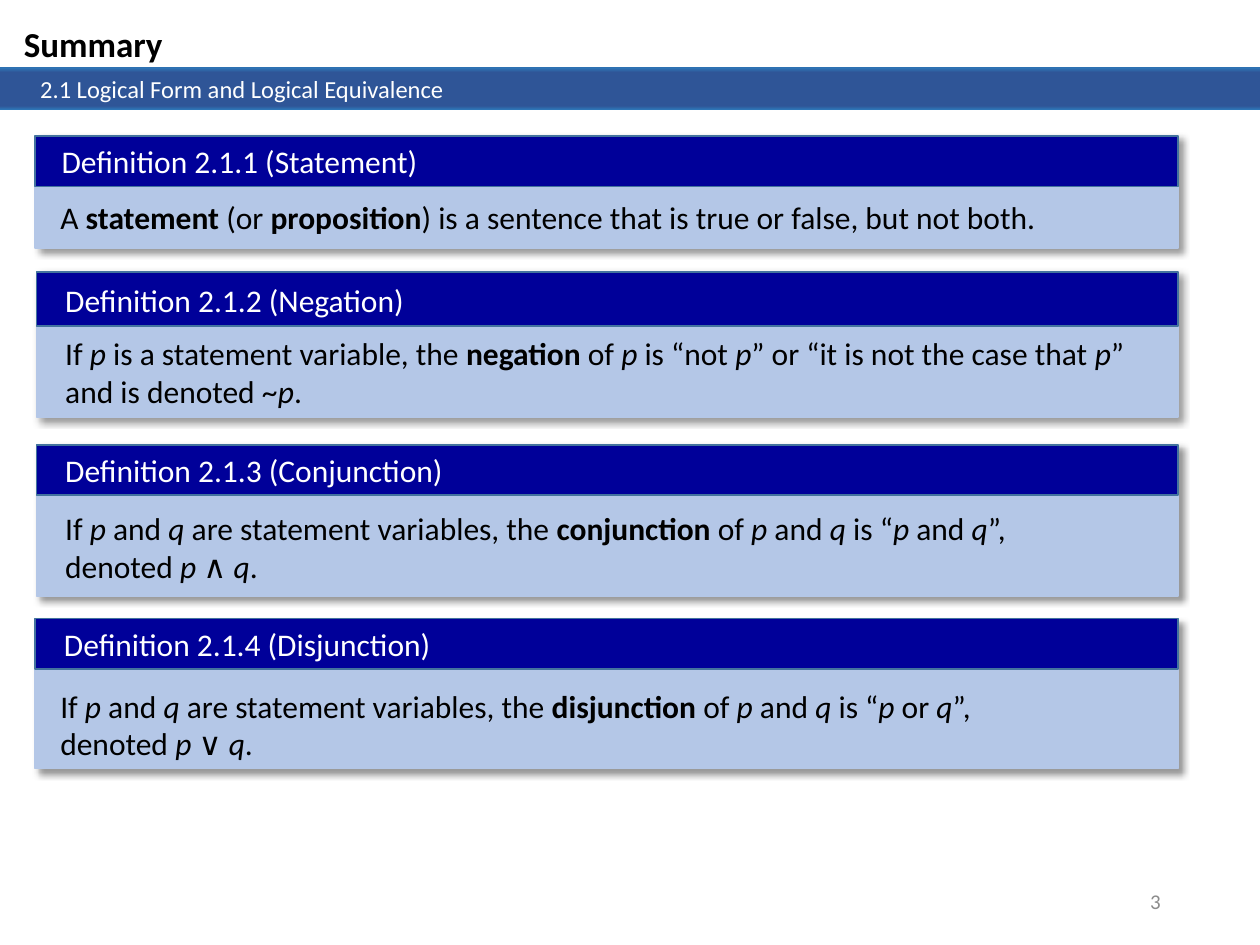
from lxml import etree
from pptx import Presentation
from pptx.dml.color import RGBColor
from pptx.enum.shapes import MSO_SHAPE
from pptx.enum.text import MSO_ANCHOR, PP_ALIGN
from pptx.oxml.ns import qn
from pptx.util import Pt

RECT = MSO_SHAPE.RECTANGLE
TOP, MIDDLE = MSO_ANCHOR.TOP, MSO_ANCHOR.MIDDLE
LEFT, RIGHT = PP_ALIGN.LEFT, PP_ALIGN.RIGHT

FONT = "Calibri"
WHITE, BLACK, GREY = "FFFFFF", "000000", "8C8C8C"
NAVY, STEEL, PALE = "000099", "43739E", "B4C7E7"
BAND_STOPS = [(0, "2E75B6"), (11, "2F5597"), (91, "2F5597"), (100, "2E75B6")]
BANDS = [(0, 38.2, 720, 21.6), (0, 38.9, 720, 23.8)]
CARD_RIGHT = 673.2

# *bold* and _italic_
DEFINITIONS = [
    {"title": "Definition 2.1.1 (Statement)",
     "body": "A *statement* (or *proposition*) is a sentence that is true or false, but not both.",
     "card": (20.2, 77.8, 64.1), "head": 28.8,
     "title_at": (28.1, 77.8), "body_at": (27.4, 109.4, 588, 28.8)},
    {"title": "Definition 2.1.2 (Negation)",
     "body": "If _p_ is a statement variable, the *negation* of _p_ is “not _p_” or "
             "“it is not the case that _p_” and is denoted ~_p_.",
     "card": (20.9, 155.5, 82.8), "head": 31,
     "title_at": (30.2, 157), "body_at": (30.2, 187.2, 625, 51.1)},
    {"title": "Definition 2.1.3 (Conjunction)",
     "body": "If _p_ and _q_ are statement variables, the *conjunction* of _p_ and _q_ is "
             "“_p_ and _q_”, denoted _p _∧ _q_.",
     "card": (20.9, 254.2, 86.4), "head": 28.8,
     "title_at": (30.2, 254.2), "body_at": (30.2, 287.3, 585, 51.1)},
    {"title": "Definition 2.1.4 (Disjunction)",
     "body": "If _p_ and _q_ are statement variables, the *disjunction* of _p_ and _q_ is "
             "“_p_ or _q_”, denoted _p _∨ _q_.",
     "card": (20.2, 353.5, 85.7), "head": 28.8,
     "title_at": (29.5, 353.5), "body_at": (27.4, 388.8, 545, 51.1)},
]


def rgb(color):
    return RGBColor.from_string(color)


def add_color(parent, color):
    return etree.SubElement(parent, qn("a:srgbClr"), val=color)


def add_rect(shapes, box, fill=None, line=None):
    sp = shapes.add_shape(RECT, *map(Pt, box))
    sp.shadow.inherit = False
    if fill:
        sp.fill.solid()
        sp.fill.fore_color.rgb = rgb(fill)
    if line:
        sp.line.color.rgb = rgb(line)
        sp.line.width = Pt(1)
    else:
        sp.line.fill.background()
    return sp


def add_band(shapes, box):
    sp = add_rect(shapes, box)
    sp.fill.gradient()
    sp.fill.gradient_angle = 270
    stops = sp._element.spPr.find(qn("a:gradFill")).find(qn("a:gsLst"))
    for stop in list(stops):
        stops.remove(stop)
    for pos, color in BAND_STOPS:
        add_color(etree.SubElement(stops, qn("a:gs"), pos=str(pos * 1000)), color)
    return sp


def add_shadow(sp):
    effects = sp._element.spPr.find(qn("a:effectLst"))
    shadow = etree.SubElement(effects, qn("a:outerShdw"), blurRad=str(Pt(4)),
                              dist=str(Pt(3)), dir="2700000", algn="tl", rotWithShape="0")
    etree.SubElement(add_color(shadow, BLACK), qn("a:alpha"), val="40000")


def set_text(sp, text, size, color, bold=False, align=LEFT, anchor=TOP):
    tf = sp.text_frame
    tf.word_wrap = True
    tf.vertical_anchor = anchor
    p = tf.paragraphs[0]
    p.alignment = align
    for i, part in enumerate(text.split("*")):
        for j, piece in enumerate(part.split("_")):
            if not piece:
                continue
            r = p.add_run()
            r.text = piece
            style = {"name": FONT, "size": Pt(size),
                     "bold": bold or i % 2 == 1, "italic": j % 2 == 1}
            for key, value in style.items():
                setattr(r.font, key, value)
            r.font.color.rgb = rgb(color)


def add_text(shapes, box, *args, **kwargs):
    set_text(shapes.add_textbox(*map(Pt, box)), *args, **kwargs)


def add_definition(slide, d):
    shapes = slide.shapes.add_group_shape().shapes
    left, top, height = d["card"]
    width = CARD_RIGHT - left
    add_shadow(add_rect(shapes, (left, top, width, height), PALE, PALE))
    add_rect(shapes, (left, top, width, d["head"]), NAVY, STEEL)
    add_text(shapes, (*d["title_at"], 333.4, 28.8), d["title"], 18, WHITE)
    add_text(shapes, d["body_at"], d["body"], 18, BLACK)


def main():
    prs = Presentation()
    prs.slide_width, prs.slide_height = Pt(720), Pt(540)
    s = prs.slides.add_slide(prs.slide_layouts[6])

    add_text(s.shapes, (508.3, 500.4, 162, 28.8), "3", 12, GREY, align=RIGHT, anchor=MIDDLE)
    for box in BANDS:
        band = add_band(s.shapes, box)
    set_text(band, "2.1 Logical Form and Logical Equivalence", 14, WHITE)
    band.text_frame.margin_left = Pt(23)

    for d in DEFINITIONS:
        add_definition(s, d)
    add_text(s.shapes, (6.5, 9.4, 193.7, 31.7), "Summary", 20, BLACK, bold=True)

    prs.save("out.pptx")


if __name__ == "__main__":
    main()
